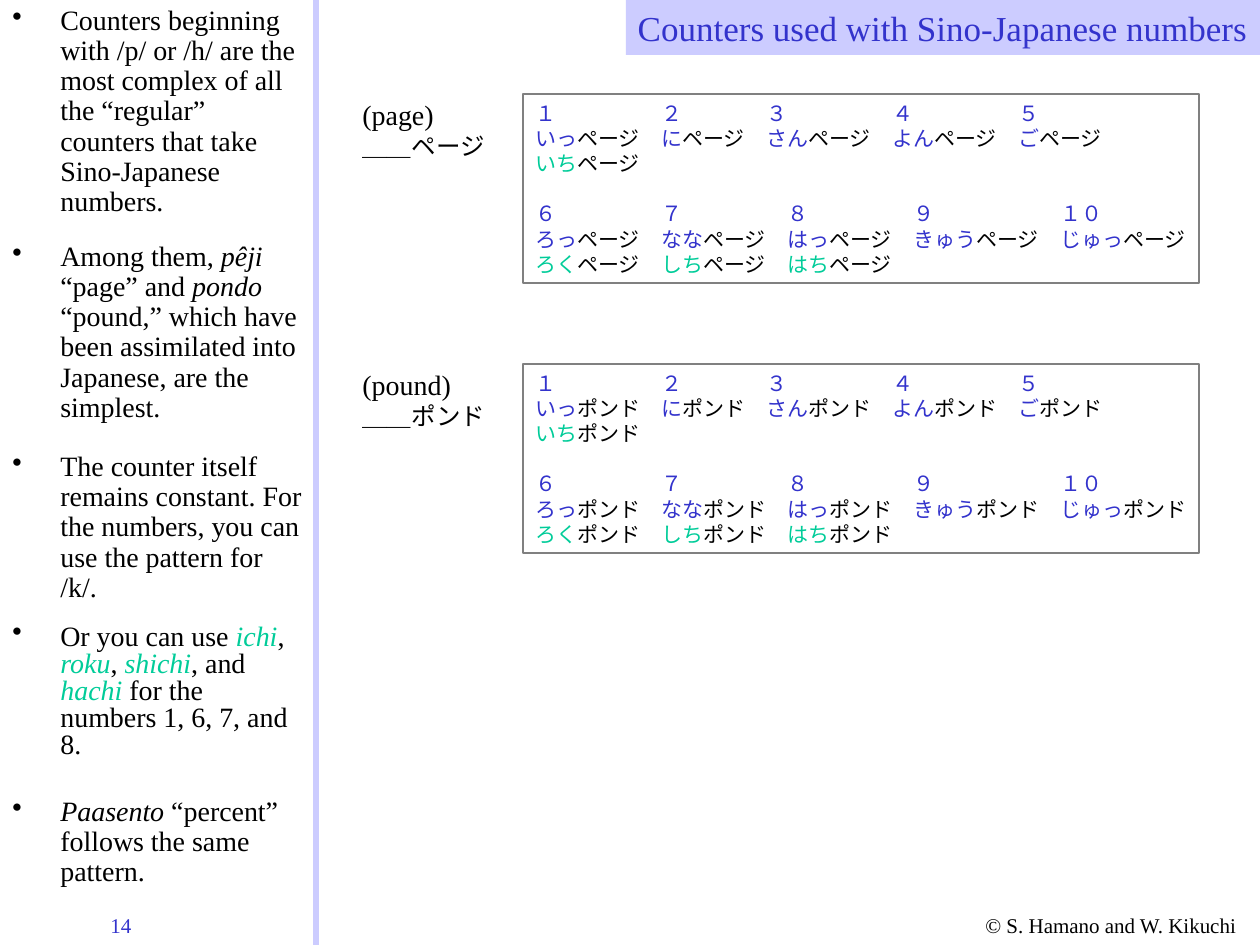
from dataclasses import dataclass
from itertools import zip_longest

from lxml import etree
from pptx import Presentation
from pptx import util as u
from pptx.dml.color import RGBColor
from pptx.enum import shapes, text
from pptx.oxml.ns import qn

PX = u.Inches(1) / 126
BLACK = RGBColor(0x00, 0x00, 0x00)
BLUE = RGBColor(0x33, 0x33, 0xCC)
GREEN = RGBColor(0x00, 0xCC, 0x99)
GREY = RGBColor(0x80, 0x80, 0x80)
LAVENDER = RGBColor(0xCC, 0xCC, 0xFF)
LATIN = "Times New Roman"
JAPANESE = "Noto Sans CJK JP"

SIDEBAR_WIDTH = 316
BULLET_INDENT = 48
CHARACTER = 21  # width of one 12 pt Japanese character
LINE_PITCH = u.Pt(14.4)


@dataclass(frozen=True)
class Span:
    text: str
    color: RGBColor = BLACK
    italic: bool = False


@dataclass(frozen=True)
class Note:
    top: int
    height: int
    paragraphs: tuple[tuple[Span, ...], ...]
    line_spacing: float = 0.9


@dataclass(frozen=True)
class NumberRow:
    numbers: tuple[str, ...]
    readings: tuple[str, ...]
    alternates: tuple[str, ...]
    stops: tuple[int, ...]  # tab stops, in characters


@dataclass(frozen=True)
class Counter:
    meaning: str
    word: str
    top: int


NOTES = (
    Note(0, 234, ((Span(
        "Counters beginning with /p/ or /h/ are the most complex of all the “regular” "
        "counters that take Sino-Japanese numbers."),),)),
    Note(236, 378, (
        (Span("Among them, "), Span("pêji", italic=True), Span(" “page” and "),
         Span("pondo", italic=True),
         Span(" “pound,” which have been assimilated into Japanese, are the simplest.")),
        (Span("The counter itself remains constant. For the numbers, "
              "you can use the pattern for /k/."),),
    )),
    Note(619, 159, ((
        Span("Or you can use "), Span("ichi", GREEN, True), Span(", "),
        Span("roku", GREEN, True), Span(", "), Span("shichi", GREEN, True),
        Span(", and "), Span("hachi ", GREEN, True),
        Span("for the numbers 1, 6, 7, and 8.")),), 0.8),
    Note(791, 112, ((
        Span("Paasento", italic=True), Span(" “percent” follows the same pattern.")),)),
)
ROWS = (
    NumberRow(("１", "２", "３", "４", "５"), ("いっ", "に", "さん", "よん", "ご"),
              ("いち",), (6, 11, 17, 23)),
    NumberRow(("６", "７", "８", "９", "１０"), ("ろっ", "なな", "はっ", "きゅう", "じゅっ"),
              ("ろく", "しち", "はち"), (6, 12, 18, 25)),
)
COUNTERS = (Counter("(page)", "ページ", 94), Counter("(pound)", "ポンド", 364))


def px(length: int) -> int:
    return round(length * PX)


def place(shape, left: int, top: int, width: int, height: int) -> None:
    shape.left, shape.top, shape.width, shape.height = map(px, (left, top, width, height))


def add_text_box(slide, left: int, top: int, width: int, height: int):
    box = slide.shapes.add_textbox(*map(px, (left, top, width, height)))
    box.text_frame.word_wrap = True
    return box.text_frame


def next_paragraph(frame):
    """Return the frame's first paragraph while empty, else a new one."""
    first = frame.paragraphs[0]
    return frame.add_paragraph() if first.runs else first


def add_span(paragraph, span: Span, size: int, font: str = LATIN) -> None:
    run = paragraph.add_run()
    run.text = span.text
    run.font.size = u.Pt(size)
    run.font.name = font
    run.font.color.rgb = span.color
    run.font.italic = span.italic
    if font == JAPANESE:
        east_asian = etree.SubElement(run.font._element, qn("a:ea"))
        east_asian.set("typeface", font)


def set_bullet(paragraph) -> None:
    properties = paragraph._p.get_or_add_pPr()
    properties.set("marL", str(px(BULLET_INDENT)))
    properties.set("indent", str(-px(BULLET_INDENT)))
    color = etree.SubElement(properties, qn("a:buClr"))
    etree.SubElement(color, qn("a:srgbClr")).set("val", str(BLACK))
    etree.SubElement(properties, qn("a:buChar")).set("char", "•")


def set_tabs(paragraph, stops: tuple[int, ...]) -> None:
    tabs = etree.SubElement(paragraph._p.get_or_add_pPr(), qn("a:tabLst"))
    for stop in stops:
        etree.SubElement(tabs, qn("a:tab"), pos=str(px(stop * CHARACTER)), algn="l")


def draw_title(slide) -> None:
    title = slide.shapes.title
    place(title, 626, 0, 634, 55)
    title.fill.solid()
    title.fill.fore_color.rgb = LAVENDER
    frame = title.text_frame
    frame.auto_size = text.MSO_AUTO_SIZE.NONE
    frame.vertical_anchor = text.MSO_ANCHOR.MIDDLE
    frame.margin_left = 0
    frame.paragraphs[0].alignment = text.PP_ALIGN.RIGHT
    add_span(frame.paragraphs[0], Span("Counters used with Sino-Japanese numbers", BLUE), 20)


def draw_divider(slide) -> None:
    divider = slide.shapes.add_connector(
        shapes.MSO_CONNECTOR.STRAIGHT, px(SIDEBAR_WIDTH), 0, px(SIDEBAR_WIDTH), px(945))
    divider.line.color.rgb = LAVENDER
    divider.line.width = u.Pt(3)
    etree.SubElement(divider._element.spPr, qn("a:effectLst"))


def draw_note(slide, note: Note) -> None:
    frame = add_text_box(slide, 0, note.top, SIDEBAR_WIDTH, note.height)
    for index, spans in enumerate(note.paragraphs):
        paragraph = next_paragraph(frame)
        set_bullet(paragraph)
        paragraph.line_spacing = note.line_spacing
        if index:
            paragraph.space_before = u.Pt(16.5)
        for span in spans:
            add_span(paragraph, span, 16)


def draw_label(slide, counter: Counter) -> None:
    frame = add_text_box(slide, 350, counter.top - 3, 148, 76)
    frame.margin_right = 0
    add_span(frame.paragraphs[0], Span(counter.meaning), 16)
    blank = frame.add_paragraph()
    blank.line_spacing = u.Pt(17)
    add_span(blank, Span("＿＿" + counter.word), 14, JAPANESE)


def draw_number_box(slide, counter: Counter) -> None:
    box = slide.shapes.add_shape(
        shapes.MSO_SHAPE.RECTANGLE, *map(px, (523, counter.top, 676, 189)))
    box.shadow.inherit = False
    box.fill.background()
    box.line.color.rgb = GREY
    box.line.width = u.Pt(0.75)
    frame = box.text_frame
    frame.margin_right = 0
    frame.vertical_anchor = text.MSO_ANCHOR.TOP
    for row_index, row in enumerate(ROWS):
        lines = ((row.numbers, BLUE, ""), (row.readings, BLUE, counter.word),
                 (row.alternates, GREEN, counter.word))
        for line_index, (entries, color, word) in enumerate(lines):
            paragraph = next_paragraph(frame)
            paragraph.alignment = text.PP_ALIGN.LEFT
            paragraph.line_spacing = LINE_PITCH
            if row_index and not line_index:
                paragraph.space_before = LINE_PITCH
            set_tabs(paragraph, row.stops)
            for entry, tab in zip_longest(entries, "\t" * (len(entries) - 1), fillvalue=""):
                add_span(paragraph, Span(entry, color), 12, JAPANESE)
                if word + tab:
                    add_span(paragraph, Span(word + tab), 12, JAPANESE)


def main() -> None:
    presentation = Presentation()
    presentation.slide_width, presentation.slide_height = u.Inches(10), u.Inches(7.5)
    slide = presentation.slides.add_slide(presentation.slide_layouts[5])
    draw_title(slide)
    draw_divider(slide)
    for note in NOTES:
        draw_note(slide, note)
    for counter in COUNTERS:
        draw_label(slide, counter)
        draw_number_box(slide, counter)
    copyright_line = add_text_box(slide, 973, 906, 287, 38)
    add_span(copyright_line.paragraphs[0], Span("© S. Hamano and W. Kikuchi"), 12)
    page_number = add_text_box(slide, 98, 906, 112, 38)
    add_span(page_number.paragraphs[0], Span("14", BLUE), 12)
    presentation.save("out.pptx")


if __name__ == "__main__":
    main()
